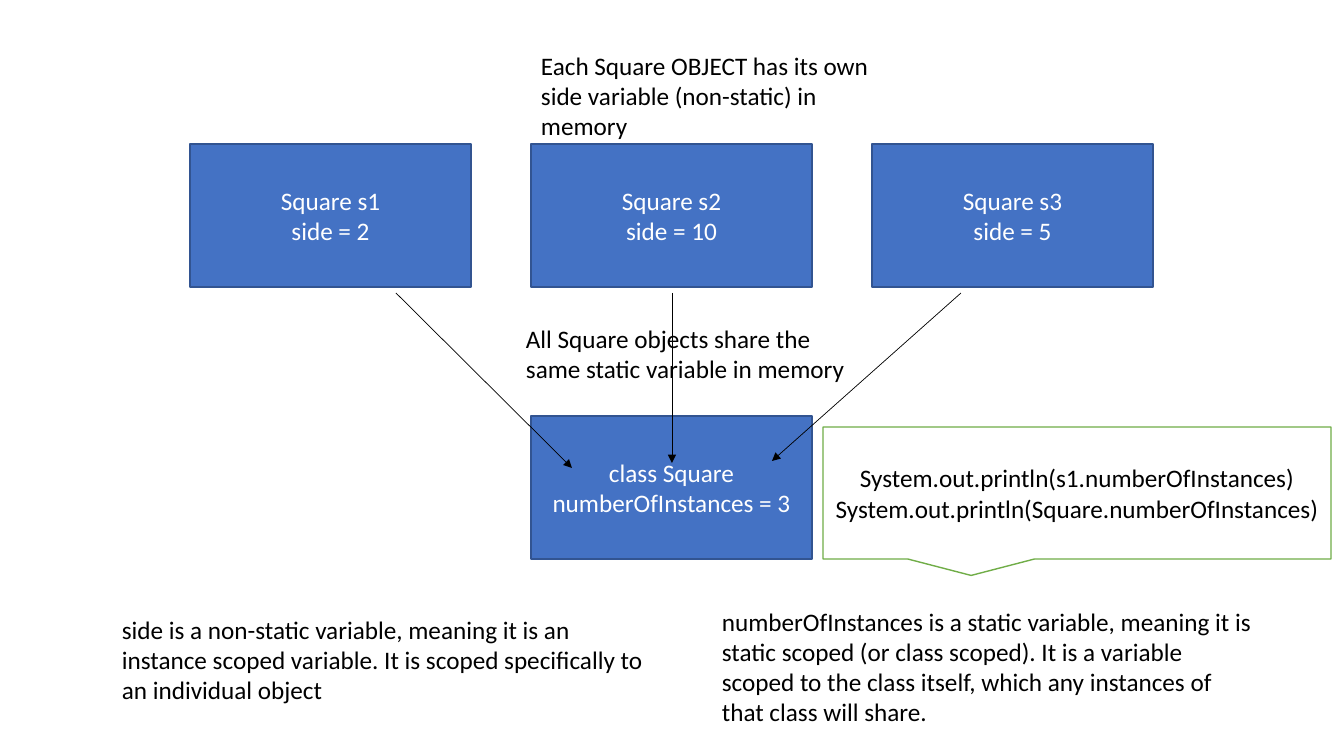
import pptx
import pptx.util
import pptx.dml.color
import pptx.enum.shapes
import pptx.enum.text
import pptx.oxml
import pptx.oxml.ns
import lxml.etree

SCALE = 914400 / 100.8
SHAPE = pptx.enum.shapes.MSO_SHAPE
ALIGN = pptx.enum.text.PP_ALIGN
ANCHOR = pptx.enum.text.MSO_ANCHOR
BLACK, WHITE = "000000", "FFFFFF"
BLUE, DARK_BLUE, GREEN = "4472C4", "325491", "70AD47"


def emu(*pixels):
    """Turn pixel lengths into EMU."""
    return [round(length * SCALE) for length in pixels]


def color(hex_value):
    """Turn a hex string into a colour."""
    return pptx.dml.color.RGBColor.from_string(hex_value)


def write(shape, lines, ink, align, anchor):
    """Fill a shape with one paragraph for each line."""
    frame = shape.text_frame
    frame.word_wrap = True
    frame.vertical_anchor = anchor
    for index, line in enumerate(lines):
        para = frame.add_paragraph() if index else frame.paragraphs[0]
        para.alignment = align
        span = para.add_run()
        span.text = line
        font_format = {"name": "Calibri", "size": pptx.util.Pt(18)}
        for name, value in font_format.items():
            setattr(span.font, name, value)
        span.font.color.rgb = color(ink)


def add_panel(page, box, lines, kind=SHAPE.RECTANGLE, fill=BLUE, edge=DARK_BLUE, ink=WHITE):
    """Draw an outlined shape with centred lines of text."""
    shape = page.shapes.add_shape(kind, *emu(*box))
    shape.shadow.inherit = False
    shape.fill.solid()
    shape.fill.fore_color.rgb = color(fill)
    shape.line.color.rgb = color(edge)
    shape.line.width = pptx.util.Pt(1)
    write(shape, lines, ink, ALIGN.CENTER, ANCHOR.MIDDLE)


def add_note(page, box, text):
    """Place a plain wrapped text box."""
    note = page.shapes.add_textbox(*emu(*box))
    write(note, [text], BLACK, ALIGN.LEFT, ANCHOR.TOP)
    note.text_frame.auto_size = pptx.enum.text.MSO_AUTO_SIZE.SHAPE_TO_FIT_TEXT


def add_arrow(page, start, end):
    """Draw a thin arrow between two points."""
    kind = pptx.enum.shapes.MSO_CONNECTOR.STRAIGHT
    arrow = page.shapes.add_connector(kind, *emu(*start, *end))
    arrow.line.color.rgb = color(BLACK)
    arrow.line.width = pptx.util.Pt(0.5)
    qualified = pptx.oxml.ns.qn
    head = lxml.etree.SubElement(arrow.line._get_or_add_ln(), qualified("a:tailEnd"))
    head.set("type", "triangle")
    lxml.etree.SubElement(arrow._element.spPr, qualified("a:effectLst"))


def add_objects(page, box):
    """Lay out the three Square objects in a row with equal gaps."""
    left, top, width, height = box
    panel_width = 281
    step = (width - panel_width) // 2
    for index, side in enumerate((2, 10, 5)):
        panel = (left + index * step, top, panel_width, height)
        add_panel(page, panel, [f"Square s{index + 1}", f"side = {side}"])


def add_shared_class(page, box):
    """Draw the class panel, the arrows into it and its printing callout."""
    left, top, width, height = box
    add_panel(page, box, ["class Square", "numberOfInstances = 3"])
    middle = left + width // 2
    for start, end, depth in ((-275, -99, 52), (1, 1, 47), (290, 101, 45)):
        add_arrow(page, (middle + start, top - 123), (middle + end, top + depth))
    add_note(page, (left - 15, top - 98, 353, 72),
             "All Square objects share the same static variable in memory")
    printed = [f"System.out.println({owner}.numberOfInstances)" for owner in ("s1", "Square")]
    add_panel(page, (left + width + 11, top + 11, 508, 132), printed,
              SHAPE.RECTANGULAR_CALLOUT, WHITE, GREEN, BLACK)


def add_explanations(page, box):
    """Place the two explanations side by side."""
    left, top, width, height = box
    column = 552
    add_note(page, (left, top + 8, column, 102),
             "side is a non-static variable, meaning it is an instance scoped variable. "
             "It is scoped specifically to an individual object")
    add_note(page, (left + width - column, top, column, height),
             "numberOfInstances is a static variable, meaning it is static scoped "
             "(or class scoped). It is a variable scoped to the class itself, "
             "which any instances of that class will share.")


def build():
    """Build the slide and save it."""
    deck = pptx.Presentation()
    deck.slide_width, deck.slide_height = emu(1344, 756)
    page = deck.slides.add_slide(deck.slide_layouts[6])
    add_objects(page, (190, 144, 963, 143))
    add_explanations(page, (112, 601, 1152, 132))
    add_shared_class(page, (531, 416, 281, 143))
    add_note(page, (531, 45, 353, 102),
             "Each Square OBJECT has its own side variable (non-static) in memory")
    deck.save("out.pptx")


build()
